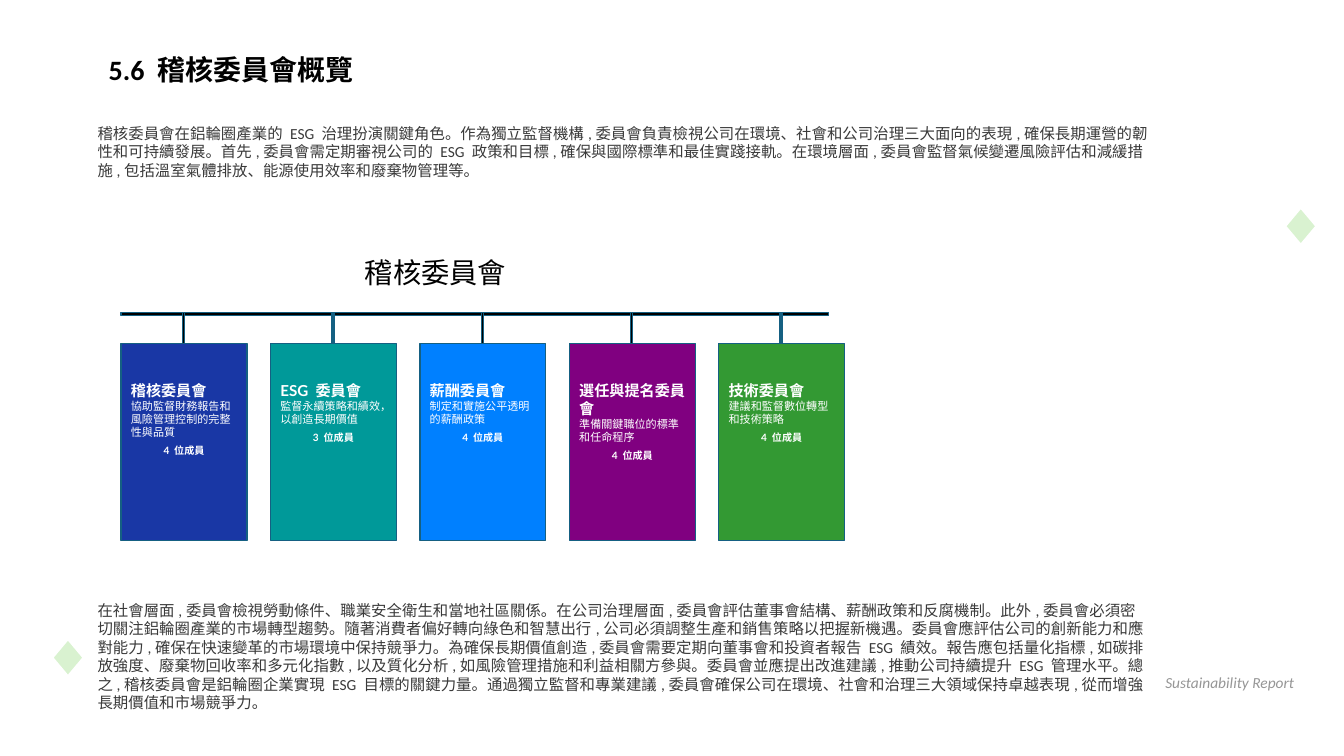
import pptx
import pptx.util
import pptx.dml.color
import pptx.enum.shapes
import pptx.enum.text
import pptx.oxml

Pt = pptx.util.Pt
RGB = pptx.dml.color.RGBColor
SHAPE = pptx.enum.shapes.MSO_SHAPE
ALIGN = pptx.enum.text.PP_ALIGN
ANCHOR = pptx.enum.text.MSO_ANCHOR
FIT = pptx.enum.text.MSO_AUTO_SIZE

BLACK = RGB(0x00, 0x00, 0x00)
WHITE = RGB(0xFF, 0xFF, 0xFF)
INK = RGB(0x3A, 0x3A, 0x3A)
GREY = RGB(0x96, 0x96, 0x96)
MINT = RGB(0xD9, 0xF2, 0xD0)
TEAL = RGB(0x15, 0x60, 0x82)
NAVY = RGB(0x19, 0x37, 0xA5)
CYAN = RGB(0x00, 0x99, 0x99)
BLUE = RGB(0x00, 0x80, 0xFF)
PURPLE = RGB(0x80, 0x00, 0x80)
GREEN = RGB(0x33, 0x99, 0x33)

INTRO = (
    "稽核委員會在鋁輪圈產業的 ESG 治理扮演關鍵角色。作為獨立監督機構,"
    "委員會負責檢視公司在環境、社會和公司治理三大面向的表現,"
    "確保長期運營的韌性和可持續發展。首先,委員會需定期審視公司的 ESG 政策和目標,"
    "確保與國際標準和最佳實踐接軌。在環境層面,委員會監督氣候變遷風險評估和減緩措施,"
    "包括溫室氣體排放、能源使用效率和廢棄物管理等。"
)
CLOSE = (
    "在社會層面,委員會檢視勞動條件、職業安全衛生和當地社區關係。在公司治理層面,"
    "委員會評估董事會結構、薪酬政策和反腐機制。此外,"
    "委員會必須密切關注鋁輪圈產業的市場轉型趨勢。隨著消費者偏好轉向綠色和智慧出行,"
    "公司必須調整生產和銷售策略以把握新機遇。委員會應評估公司的創新能力和應對能力,"
    "確保在快速變革的市場環境中保持競爭力。為確保長期價值創造,"
    "委員會需要定期向董事會和投資者報告 ESG 績效。報告應包括量化指標,"
    "如碳排放強度、廢棄物回收率和多元化指數,以及質化分析,"
    "如風險管理措施和利益相關方參與。委員會並應提出改進建議,"
    "推動公司持續提升 ESG 管理水平。總之,稽核委員會是鋁輪圈企業實現 ESG 目標的關鍵力量。"
    "通過獨立監督和專業建議,委員會確保公司在環境、社會和治理三大領域保持卓越表現,"
    "從而增強長期價值和市場競爭力。"
)

# Name, duty, members, colour
BOARDS = [
    ("稽核委員會", "協助監督財務報告和風險管理控制的完整性與品質", "4 位成員", NAVY),
    ("ESG 委員會", "監督永續策略和績效，以創造長期價值", "3 位成員", CYAN),
    ("薪酬委員會", "制定和實施公平透明的薪酬政策", "4 位成員", BLUE),
    ("選任與提名委員會", "準備關鍵職位的標準和任命程序", "4 位成員", PURPLE),
    ("技術委員會", "建議和監督數位轉型和技術策略", "4 位成員", GREEN),
]
LEFT, STEP = 86.4, 106.74
BAR_TOP, CARD_TOP = 223.2, 245.5
CARD_W, CARD_H = 90, 140.4
STEM_X, STEM_W = 43.9, 1.44


def add_run(para, text, size, color, font="Calibri", bold=False, slant=False):
    run = para.add_run()
    run.text = text
    run.font.size = Pt(size)
    run.font.name = font
    run.font.color.rgb = color
    run.font.bold = bold
    run.font.italic = slant


def add_text(slide, box, text, size, color, align=ALIGN.LEFT, wrap=False,
             after=0, **style):
    frame = slide.shapes.add_textbox(*map(Pt, box)).text_frame
    frame.word_wrap = wrap
    frame.auto_size = FIT.SHAPE_TO_FIT_TEXT
    para = frame.paragraphs[0]
    para.alignment = align
    para.space_after = Pt(after)
    add_run(para, text, size, color, **style)


def add_form(slide, kind, box, fill, line, width):
    form = slide.shapes.add_shape(kind, *map(Pt, box))
    form.shadow.inherit = False
    form.fill.solid()
    form.fill.fore_color.rgb = fill
    form.line.color.rgb = line
    form.line.width = Pt(width)
    return form


def add_arc(slide):
    arc = add_form(slide, SHAPE.ARC, (784.8, -243.4, 288, 357.8),
                   MINT, MINT, 46.25)
    arc.fill.background()
    arc.rotation = 151.3
    # Angles are stored in 60000ths of a degree, scaled by 100000 here
    for i, angle in enumerate((152.05, 215.37)):
        arc.adjustments[i] = angle * 0.6
    tint = arc.line.fill._xPr.find(".//" + pptx.oxml.ns.qn("a:srgbClr"))
    alpha = pptx.oxml.parse_xml(
        '<a:alpha %s val="60000"/>' % pptx.oxml.ns.nsdecls("a"))
    tint.append(alpha)


def add_card(slide, left, name, duty, count, color):
    card = add_form(slide, SHAPE.RECTANGLE, (left, CARD_TOP, CARD_W, CARD_H),
                    color, TEAL, 1)
    frame = card.text_frame
    frame.word_wrap = True
    frame.vertical_anchor = ANCHOR.TOP
    frame.margin_left = frame.margin_right = Pt(7.2)
    frame.margin_top, frame.margin_bottom = Pt(26.6), Pt(5)
    rows = [
        (name, 10.8, True, ALIGN.LEFT, 0),
        (duty, 7.9, False, ALIGN.LEFT, 4),
        (count, 7.2, True, ALIGN.CENTER, 0),
    ]
    for i, (text, size, bold, align, after) in enumerate(rows):
        para = frame.add_paragraph() if i else frame.paragraphs[0]
        para.alignment = align
        para.space_after = Pt(after)
        add_run(para, text, size, WHITE, font="Lato", bold=bold)


def add_bar(slide, *box):
    add_form(slide, SHAPE.RECTANGLE, box, BLACK, TEAL, 1)


def main():
    deck = pptx.Presentation()
    deck.slide_width, deck.slide_height = Pt(960), Pt(540)
    slide = deck.slides.add_slide(deck.slide_layouts[6])

    # Corner decoration
    add_arc(slide)
    for left, top in ((918, 148.3), (37.4, 456.5)):
        add_form(slide, SHAPE.DIAMOND, (left, top, 22.3, 26.6),
                 MINT, WHITE, 1.5)

    # Heading and opening text
    add_text(slide, (70.6, 33.8, 566.6, 72), "5.6 稽核委員會概覽", 20, BLACK,
             bold=True)
    add_text(slide, (62.6, 85, 765.4, 141.8), INTRO, 11, INK,
             wrap=True, after=4)

    # Committee chart
    add_text(slide, (226.8, 178.6, 168.5, 28.1), "稽核委員會", 20.2, BLACK,
             align=ALIGN.CENTER, font="Lato")
    add_bar(slide, LEFT, BAR_TOP, 505.4, 2.16)
    for i, board in enumerate(BOARDS):
        left = LEFT + i * STEP
        add_card(slide, left, *board)
        add_bar(slide, left + STEM_X, BAR_TOP, STEM_W, CARD_TOP - BAR_TOP)

    # Closing text and footer
    add_text(slide, (62.6, 425.5, 765.4, 127.4), CLOSE, 11, INK,
             wrap=True, after=4)
    add_text(slide, (761.8, 477.4, 169.9, 33.8), "Sustainability Report", 11,
             GREY, align=ALIGN.RIGHT, slant=True)

    deck.save("out.pptx")


if __name__ == "__main__":
    main()
